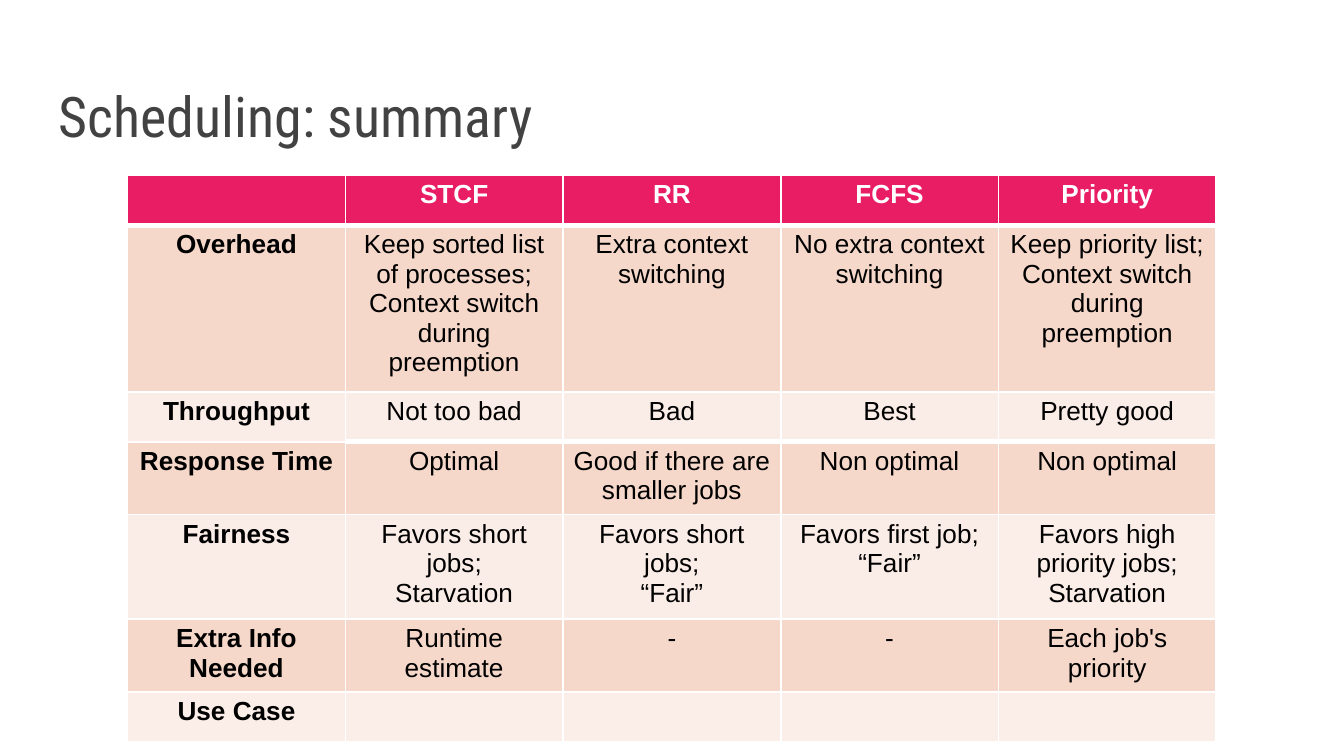
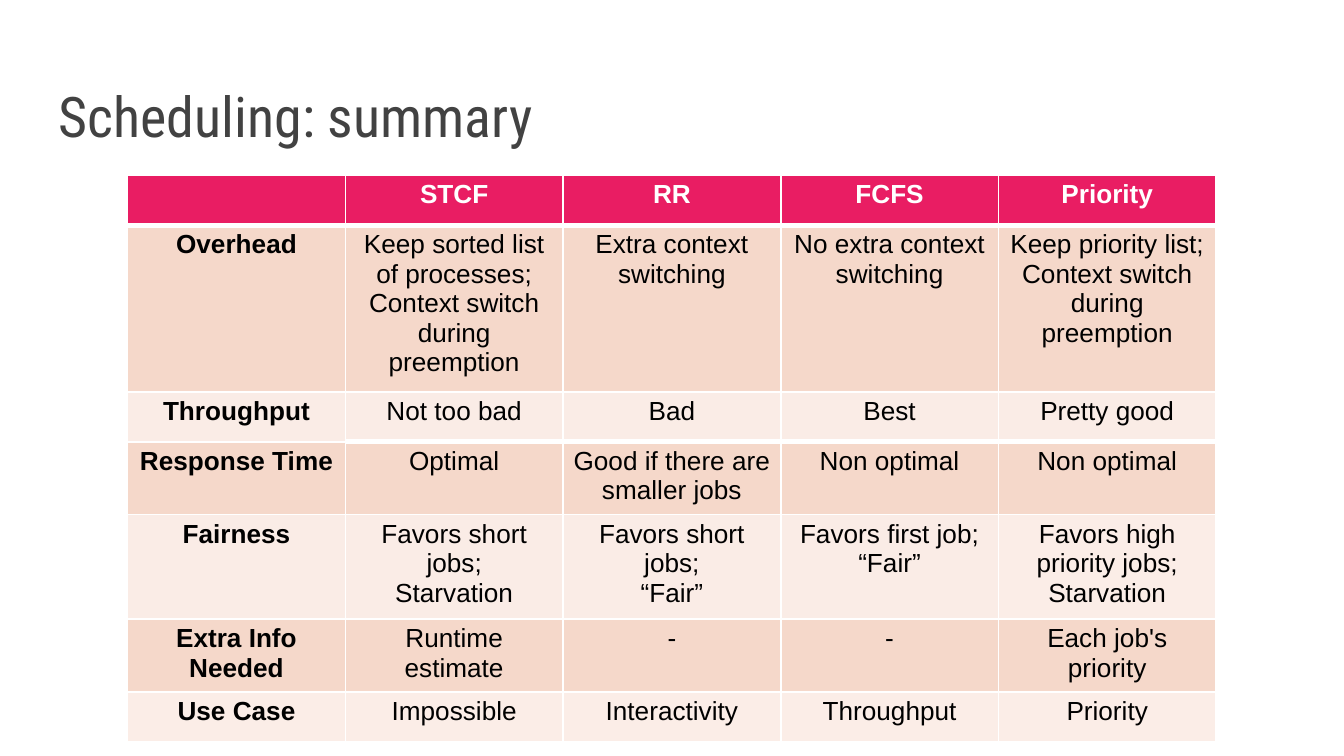
from dataclasses import dataclass

import lxml.etree
import pptx
import pptx.dml.color
import pptx.enum.text
import pptx.oxml.ns
import pptx.util

Pt = pptx.util.Pt


@dataclass(frozen=True)
class Theme:
    title_font: str = "Roboto Condensed"
    title_size: int = 30
    title_color: str = "424242"
    cell_font: str = "Arial"
    cell_size: int = 14
    cell_color: str = "000000"
    header_color: str = "FFFFFF"
    header_fill: str = "E91D63"
    dark_band: str = "F5D8CA"
    light_band: str = "FAECE6"
    pale_band: str = "FBEDE7"
    rule_color: str = "FFFFFF"
    thin_rule: int = 1
    thick_rule: int = 3


THEME = Theme()

# Table content, one row per criterion
TITLE = "Scheduling: summary"
CRITERIA = [
    ["", "STCF", "RR", "FCFS", "Priority"],
    ["Overhead",
     "Keep sorted list of processes;\nContext switch during preemption",
     "Extra context switching",
     "No extra context switching",
     "Keep priority list; Context switch during preemption"],
    ["Throughput", "Not too bad", "Bad", "Best", "Pretty good"],
    ["Response Time", "Optimal", "Good if there are smaller jobs",
     "Non optimal", "Non optimal"],
    ["Fairness", "Favors short jobs;\nStarvation", "Favors short jobs;\n“Fair”",
     "Favors first job;\n“Fair”", "Favors high priority jobs; Starvation"],
    ["Extra Info Needed", "Runtime estimate", "-", "-", "Each job's priority"],
]
OPEN_USE_CASES = ["Use Case", "", "", "", ""]
USE_CASES = ["Use Case", "Impossible", "Interactivity", "Throughput", "Priority"]

# Table geometry
TABLE_LEFT, TABLE_TOP = 68.4, 93.6
COLUMN_WIDTH = 116.64
ROW_HEIGHT, OVERHEAD_HEIGHT = 26.64, 46.08
OVERHEAD_ROW = 1

# Thick rules: row above the rule -> first column that it spans
THICK_RULES = {0: 0, 2: 1}
PALE_CELLS = {(4, 4)} | {(6, column) for column in range(5)}


def rgb(code):
    return pptx.dml.color.RGBColor.from_string(code)


def style_runs(paragraph, font, size, color, bold=False):
    for run in paragraph.runs:
        run.font.name = font
        run.font.size = Pt(size)
        run.font.color.rgb = rgb(color)
        run.font.bold = bold


def add_title(slide, text):
    frame = slide.shapes.add_textbox(Pt(24.5), Pt(29.5), Pt(671), Pt(57.6)).text_frame
    frame.word_wrap = True
    frame.vertical_anchor = pptx.enum.text.MSO_ANCHOR.BOTTOM
    frame.margin_left = frame.margin_right = Pt(7.2)
    frame.margin_top = frame.margin_bottom = Pt(7.2)
    frame.text = text
    style_runs(frame.paragraphs[0], THEME.title_font, THEME.title_size, THEME.title_color)


def has_thick_rule(row_above, column):
    return row_above in THICK_RULES and column >= THICK_RULES[row_above]


def set_borders(cell, thick_top, thick_bottom):
    qn = pptx.oxml.ns.qn
    properties = cell._tc.get_or_add_tcPr()
    for side, thick in (("L", False), ("R", False), ("T", thick_top), ("B", thick_bottom)):
        width = THEME.thick_rule if thick else THEME.thin_rule
        line = lxml.etree.SubElement(properties, qn("a:ln" + side), w=str(int(Pt(width))))
        fill = lxml.etree.SubElement(line, qn("a:solidFill"))
        lxml.etree.SubElement(fill, qn("a:srgbClr"), val=THEME.rule_color)


def band_fill(row, column):
    if row == 0:
        return THEME.header_fill
    if (row, column) in PALE_CELLS:
        return THEME.pale_band
    return THEME.dark_band if row % 2 else THEME.light_band


def fill_cell(cell, row, column, text):
    set_borders(cell, has_thick_rule(row - 1, column), has_thick_rule(row, column))
    cell.fill.solid()
    cell.fill.fore_color.rgb = rgb(band_fill(row, column))
    cell.margin_left = cell.margin_right = Pt(5.4)
    cell.margin_top = cell.margin_bottom = Pt(2.7)
    cell.text_frame.text = text
    color = THEME.header_color if row == 0 else THEME.cell_color
    for paragraph in cell.text_frame.paragraphs:
        paragraph.alignment = pptx.enum.text.PP_ALIGN.CENTER
        style_runs(paragraph, THEME.cell_font, THEME.cell_size, color,
                   bold=row == 0 or column == 0)


def add_comparison(slide, rows):
    heights = [OVERHEAD_HEIGHT if row == OVERHEAD_ROW else ROW_HEIGHT
               for row in range(len(rows))]
    columns = len(rows[0])
    comparison = slide.shapes.add_table(
        len(rows), columns, Pt(TABLE_LEFT), Pt(TABLE_TOP),
        Pt(COLUMN_WIDTH * columns), Pt(sum(heights))).table
    comparison.first_row = comparison.horz_banding = False
    for column in comparison.columns:
        column.width = Pt(COLUMN_WIDTH)
    for row, texts in enumerate(rows):
        comparison.rows[row].height = Pt(heights[row])
        for column, text in enumerate(texts):
            fill_cell(comparison.cell(row, column), row, column, text)


def main():
    deck = pptx.Presentation()
    deck.slide_width, deck.slide_height = Pt(720), Pt(405)
    # The use cases stay open first, then are answered
    for use_cases in (OPEN_USE_CASES, USE_CASES):
        slide = deck.slides.add_slide(deck.slide_layouts[6])
        add_title(slide, TITLE)
        add_comparison(slide, CRITERIA + [use_cases])
    deck.save("out.pptx")


if __name__ == "__main__":
    main()
